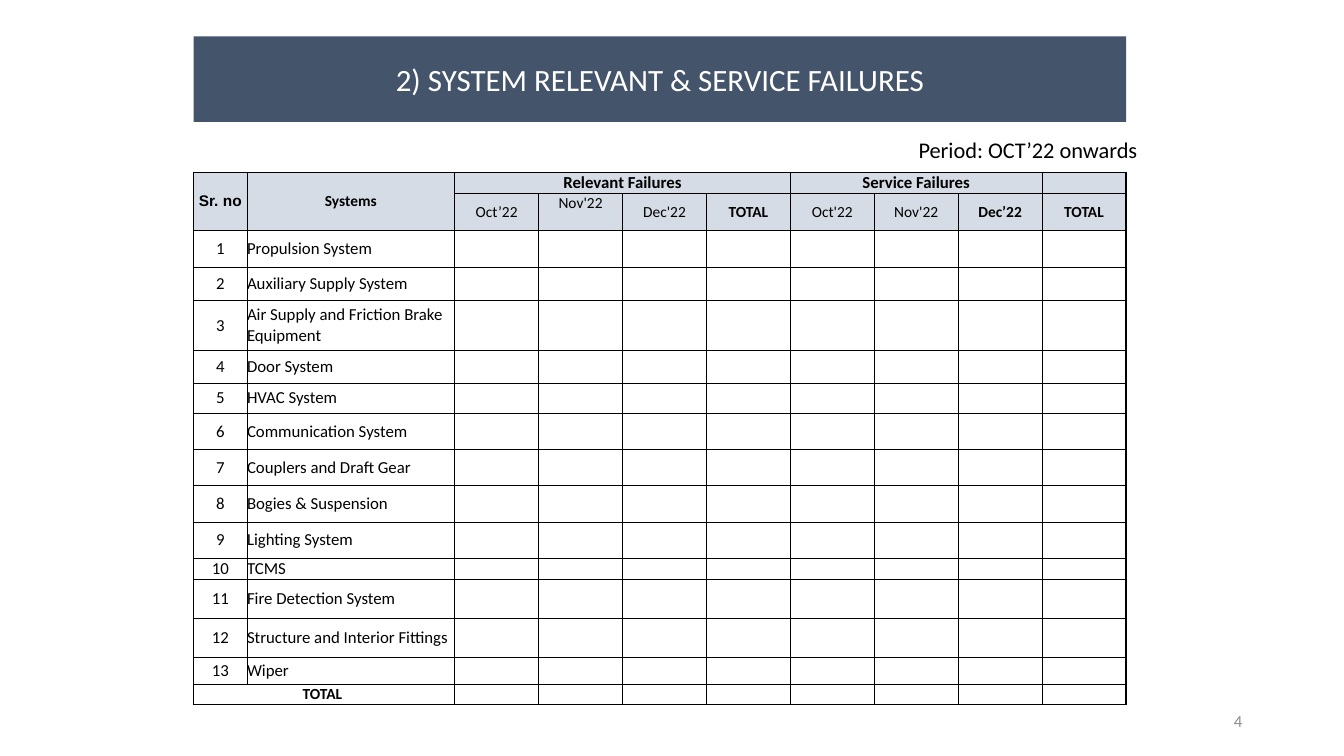
from dataclasses import dataclass
from lxml.etree import SubElement as Sub
from pptx import Presentation
from pptx.dml.color import RGBColor as RGB
from pptx.enum.text import MSO_ANCHOR as Anchor, MSO_AUTO_SIZE as Fit, PP_ALIGN as Align
from pptx.oxml.ns import qn
from pptx.util import Inches, Pt


@dataclass
class Theme:
    navy: str = "44546A"
    pale: str = "D6DCE5"
    white: str = "FFFFFF"
    black: str = "000000"
    gray: str = "8C8C8C"
    face: str = "Calibri"
    title: float = 22.1
    period: int = 16
    body: int = 12
    label: int = 11


look = Theme()


def write(frame, text, size, color, align, bold=False, face=look.face):
    para = frame.paragraphs[0]
    para.alignment = align
    run = para.add_run()
    run.text = text
    font = run.font
    font.name, font.size, font.bold = face, Pt(size), bold
    font.color.rgb = RGB.from_string(color)


def rule(cell, side, width):
    line = Sub(cell._tc.get_or_add_tcPr(), qn(f"a:ln{side}"), w=str(Pt(width)))
    fill = Sub(line, qn("a:solidFill"))
    Sub(fill, qn("a:srgbClr"), val=look.black)


deck = Presentation()
deck.slide_width, deck.slide_height = Inches(13.33), Inches(7.5)
slide = deck.slides.add_slide(deck.slide_layouts[5])

left, wide = 1.92, 9.25
title = slide.shapes.title
title.left, title.top = Inches(left), Inches(0.36)
title.width, title.height = Inches(wide), Inches(0.85)
title.fill.solid()
title.fill.fore_color.rgb = RGB.from_string(look.navy)
title.text_frame.auto_size = Fit.NONE
title.text_frame.vertical_anchor = Anchor.MIDDLE
write(title.text_frame, "2) SYSTEM RELEVANT & SERVICE FAILURES", look.title, look.white, Align.CENTER)

notes = [
    ("Period: OCT’22 onwards", (6.67, 1.3, 4.71, 0.37), look.period, look.black, Anchor.TOP),
    ("4", (9.42, 6.95, 3, 0.4), look.body, look.gray, Anchor.MIDDLE),
]
for text, place, size, color, anchor in notes:
    frame = slide.shapes.add_textbox(*map(Inches, place)).text_frame
    frame.word_wrap = True
    frame.vertical_anchor = anchor
    write(frame, text, size, color, Align.RIGHT)

systems = [
    ("Propulsion System", 0.36),
    ("Auxiliary Supply System", 0.33),
    ("Air Supply and Friction Brake Equipment", 0.5),
    ("Door System", 0.32),
    ("HVAC System", 0.3),
    ("Communication System", 0.36),
    ("Couplers and Draft Gear", 0.36),
    ("Bogies & Suspension", 0.36),
    ("Lighting System", 0.36),
    ("TCMS", 0.21),
    ("Fire Detection System", 0.39),
    ("Structure and Interior Fittings", 0.38),
    ("Wiper", 0.27),
]
months = ["Oct’22", "Nov'22", "Dec'22", "TOTAL", "Oct'22", "Nov'22", "Dec’22", "TOTAL"]
high = [0.41, 0.21, 0.37] + [size for name, size in systems] + [0.2]
first = [0.53, 2.06]
cols = first + [(wide - sum(first)) / len(months)] * len(months)
last = len(high) - 1

held = slide.shapes.add_table(len(high), len(cols), Inches(left), Inches(1.3), Inches(wide), Inches(sum(high)))
next(held.element.iter(qn("a:tableStyleId"))).text = "{2D5ABB26-0587-4C30-8999-92F81FD0307C}"
table = held.table
table.first_row = table.horz_banding = False
for col, size in zip(table.columns, cols):
    col.width = Inches(size)
for row, size in zip(table.rows, high):
    row.height = Inches(size)

home = {(r, c): (r, c) for r in range(len(high)) for c in range(len(cols))}
spans = [(0, 0, 1, 9), (1, 0, 2, 1), (1, 1, 2, 1), (1, 2, 1, 4), (1, 6, 1, 3), (last, 0, 1, 2)]
for r, c, down, over in spans:
    table.cell(r, c).merge(table.cell(r + down - 1, c + over - 1))
    for y in range(r, r + down):
        for x in range(c, c + over):
            home[y, x] = r, c

words = {
    (1, 0): ("Sr. no", look.label, Align.CENTER, True, "Arial"),
    (1, 1): ("Systems", look.label, Align.CENTER, True),
    (1, 2): ("Relevant Failures", look.body, Align.CENTER, True),
    (1, 6): ("Service Failures", look.body, Align.CENTER, True),
    (last, 0): ("TOTAL ", look.label, Align.CENTER, True),
}
for c, month in enumerate(months, 2):
    words[2, c] = month, look.label, Align.CENTER, month in ("TOTAL", "Dec’22")
for r, (name, size) in enumerate(systems, 3):
    words[r, 0] = str(r - 2), look.body, Align.CENTER
    words[r, 1] = name, look.body, Align.LEFT

sides = {"L": (0, -1), "R": (0, 1), "T": (-1, 0), "B": (1, 0)}
for (r, c), owner in home.items():
    cell = table.cell(r, c)
    cell.margin_left = cell.margin_right = cell.margin_top = cell.margin_bottom = 0
    cell.vertical_anchor = Anchor.TOP if (r, c) == (2, 3) else Anchor.MIDDLE
    for side, (down, over) in sides.items():
        if home.get((r + down, c + over)) == owner or (r == 0 and side != "B"):
            continue
        if side in "LR":
            edge = c + (side == "R")
            thick = edge in (0, 2, 6, 10) or (r in (1, 2) and edge > 2)
        else:
            thick = r + (side == "B") in (1, 3, last + 1)
        rule(cell, side, 1 if thick else 0.5)
    if r in (1, 2):
        cell.fill.solid()
        cell.fill.fore_color.rgb = RGB.from_string(look.pale)
    else:
        cell.fill.background()
    if (r, c) in words:
        text, size, *rest = words[r, c]
        write(cell.text_frame, text, size, look.black, *rest)
    else:
        Sub(cell.text_frame.paragraphs[0]._p, qn("a:endParaRPr"), sz=str(look.label * 100))

deck.save("out.pptx")
